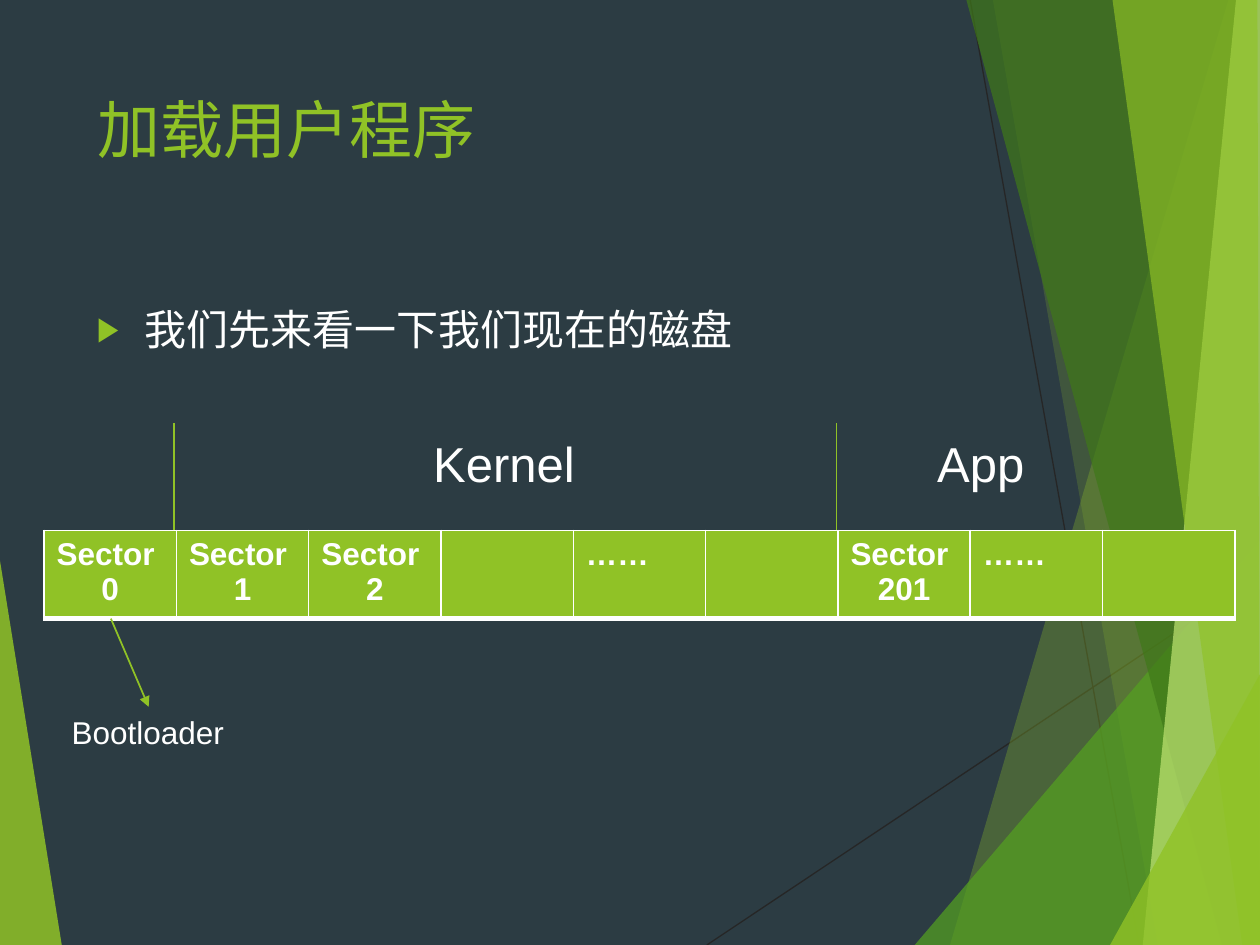
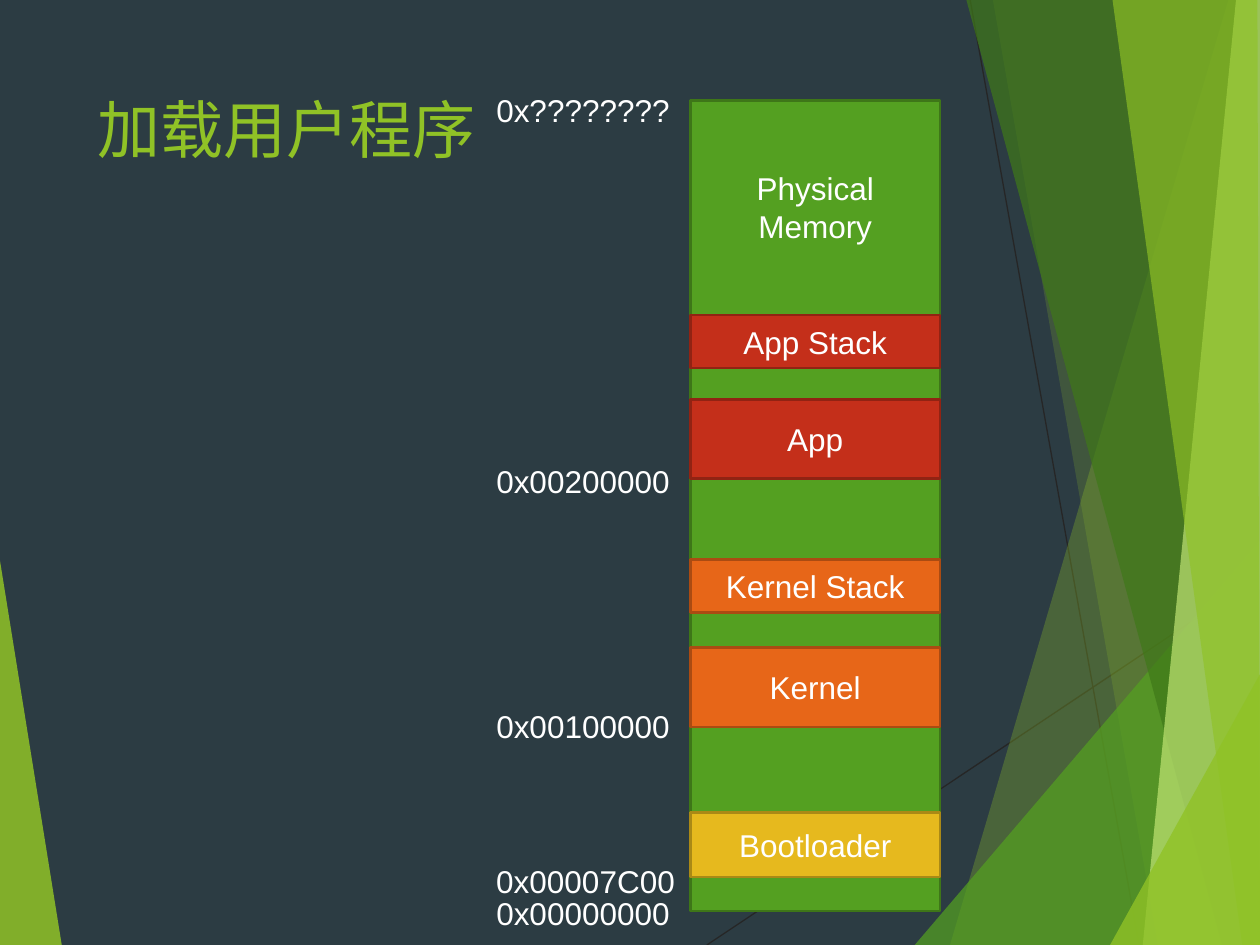
"""Build two slides on loading a user program: disk sectors and the memory map."""
from dataclasses import dataclass

from lxml import etree
from pptx import Presentation, util as u
from pptx.dml import color
from pptx.enum import shapes, text
from pptx.oxml import ns


@dataclass(frozen=True)
class Theme:
    font: str = "Arial"
    back: str = "2C3C43"
    ink: str = "FFFFFF"
    lime: str = "90C226"
    pale: str = "C0E474"
    green: str = "54A021"
    forest: str = "3F7819"
    green_edge: str = "3E7618"
    yellow: str = "E6B91E"
    yellow_edge: str = "AA8916"
    orange: str = "E76618"
    orange_edge: str = "AB4B12"
    red: str = "C42F1A"
    red_edge: str = "912313"
    hairline: str = "262626"
    title_size: int = 36
    heading_size: int = 28
    body_size: int = 24
    label_size: int = 18


THEME = Theme()
TITLE = "加载用户程序"
RAYS = [((5.61, 7.5), (10, 4.57)), ((7.7, 0), (9.04, 7.5))]
FACETS = [
    (THEME.lime, 85, [(0, 4.45), (0.49, 7.5), (0, 7.5)]),
    (THEME.lime, 30, [(9.75, 0), (7.54, 7.5), (10, 7.5), (10, 0)]),
    (THEME.lime, 20, [(7.88, 0), (9.19, 7.5), (10, 7.5), (10, 0)]),
    (THEME.green, 72, [(7.26, 7.5), (10, 4.29), (10, 7.5)]),
    (THEME.forest, 70, [(7.67, 0), (9.7, 7.5), (10, 7.5), (10, 0)]),
    (THEME.pale, 70, [(9.81, 0), (9.07, 7.5), (10, 7.5), (10, 0)]),
    (THEME.lime, 65, [(8.83, 0), (9.86, 7.5), (10, 7.5), (9.98, 0)]),
    (THEME.lime, 80, [(8.81, 7.5), (10, 5.35), (10, 7.5)]),
]


def rgb(code):
    return color.RGBColor.from_string(code)


def add_node(parent, tag, **attributes):
    return etree.SubElement(parent, ns.qn(tag), attributes)


class Painter:
    def __init__(self, deck, theme):
        self.deck = deck
        self.theme = theme
        self.page = None

    def new_page(self, title):
        self.page = self.deck.slides.add_slide(self.deck.slide_layouts[5])
        for start, end in RAYS:
            self.line(start, end, self.theme.hairline, 0.75)
        for fill, alpha, points in FACETS:
            self.facet(fill, alpha, points)
        box = self.page.shapes.title
        box.left, box.top, box.width, box.height = map(u.Inches, (0.67, 0.67, 6.94, 1.44))
        frame = box.text_frame
        frame.text = title
        frame.auto_size = text.MSO_AUTO_SIZE.NONE
        frame.vertical_anchor = text.MSO_ANCHOR.TOP
        self.style(frame, self.theme.title_size, self.theme.lime, text.PP_ALIGN.LEFT)

    def style(self, frame, size, ink=None, align=None, bold=False):
        for para in frame.paragraphs:
            if align is not None:
                para.alignment = align
            for span in para.runs:
                span.font.name = self.theme.font
                span.font.size = u.Pt(size)
                span.font.bold = bold
                span.font.color.rgb = rgb(ink or self.theme.ink)

    def facet(self, fill, alpha, points):
        corners = [(u.Inches(x), u.Inches(y)) for x, y in points]
        builder = self.page.shapes.build_freeform(*corners[0])
        builder.add_line_segments(corners[1:], close=True)
        shape = builder.convert_to_shape()
        shape.shadow.inherit = False
        shape.fill.solid()
        shape.fill.fore_color.rgb = rgb(fill)
        shape.line.fill.background()
        paint = shape.element.spPr.find(ns.qn("a:solidFill"))
        add_node(paint[0], "a:alpha", val=str(alpha * 1000))

    def line(self, start, end, ink, width=1, arrow=False):
        link = self.page.shapes.add_connector(
            shapes.MSO_CONNECTOR.STRAIGHT, *map(u.Inches, (*start, *end)))
        link.line.color.rgb = rgb(ink)
        link.line.width = u.Pt(width)
        if arrow:
            add_node(link.element.spPr.find(ns.qn("a:ln")), "a:tailEnd", type="triangle")
        add_node(link.element.spPr, "a:effectLst")
        return link

    def label(self, words, left, top, width, height=0.4, size=None):
        box = self.page.shapes.add_textbox(*map(u.Inches, (left, top, width, height)))
        frame = box.text_frame
        frame.text = words
        frame.word_wrap = False
        frame.auto_size = text.MSO_AUTO_SIZE.SHAPE_TO_FIT_TEXT
        self.style(frame, size or self.theme.label_size)
        return box

    def bullet(self, words, left, top, width, height):
        box = self.page.shapes.add_textbox(*map(u.Inches, (left, top, width, height)))
        frame = box.text_frame
        frame.word_wrap = True
        frame.text = words
        self.style(frame, self.theme.body_size)
        para = frame.paragraphs[0]
        para.space_before = u.Pt(10)
        props = para._p.get_or_add_pPr()
        props.set("marL", str(u.Inches(0.38)))
        props.set("indent", str(u.Inches(-0.38)))
        add_node(add_node(props, "a:buClr"), "a:srgbClr", val=self.theme.lime)
        add_node(props, "a:buSzPct", val="80000")
        add_node(props, "a:buFont", typeface=self.theme.font)
        add_node(props, "a:buChar", char="▶")

    def block(self, words, left, top, width, height, fill, edge):
        box = self.page.shapes.add_shape(
            shapes.MSO_SHAPE.RECTANGLE, *map(u.Inches, (left, top, width, height)))
        box.shadow.inherit = False
        box.fill.solid()
        box.fill.fore_color.rgb = rgb(fill)
        box.line.color.rgb = rgb(edge)
        box.line.width = u.Pt(1.5)
        frame = box.text_frame
        frame.text = words
        frame.word_wrap = True
        frame.vertical_anchor = text.MSO_ANCHOR.MIDDLE
        self.style(frame, self.theme.label_size, align=text.PP_ALIGN.CENTER)
        return box

    def strip(self, entries, left, top, column, height):
        table = self.page.shapes.add_table(
            1, len(entries), *map(u.Inches, (left, top, column * len(entries), height))).table
        table.first_row = table.horz_banding = False
        for index, entry in enumerate(entries):
            table.columns[index].width = u.Inches(column)
            cell = table.cell(0, index)
            cell.text = entry
            self.style(cell.text_frame, self.theme.label_size, bold=True)
            for para in cell.text_frame.paragraphs[1:]:
                para.alignment = text.PP_ALIGN.CENTER
            self.borders(cell)
            cell.fill.solid()
            cell.fill.fore_color.rgb = rgb(self.theme.lime)

    def borders(self, cell):
        props = cell._tc.get_or_add_tcPr()
        for side, width in (("L", 1), ("R", 1), ("T", 1), ("B", 3)):
            edge = add_node(props, f"a:ln{side}", w=str(u.Pt(width)))
            add_node(add_node(edge, "a:solidFill"), "a:srgbClr", val=self.theme.ink)


def draw_disk(painter):
    theme = painter.theme
    left, top, column = 0.35, 4.21, 1.05
    painter.new_page(TITLE)
    painter.bullet("我们先来看一下我们现在的磁盘", 0.67, 2.36, 7.82, 4.24)
    sectors = ["Sector\n0", "Sector\n1", "Sector\n2", "", "……", "", "Sector\n201", "……", ""]
    painter.strip(sectors, left, top, column, 0.66)
    bootloader = painter.label("Bootloader", 0.47, 5.61, 1.42)
    arrow = painter.line((0.88, 4.91), (1.18, 5.61), theme.lime, arrow=True)
    arrow.end_connect(bootloader, 0)
    for divider in (1.38, 6.64):
        painter.line((divider, top), (divider, 3.36), theme.lime)
    painter.label("Kernel", 3.34, 3.39, 1.34, 0.57, theme.heading_size)
    painter.label("App", 7.34, 3.39, 0.9, 0.57, theme.heading_size)


def draw_memory(painter):
    theme = painter.theme
    left, width = 5.48, 1.98
    painter.new_page(TITLE)
    memory = painter.block("Physical Memory", left, 0.8, width, 6.43,
                           theme.green, theme.green_edge)
    memory.text_frame.vertical_anchor = text.MSO_ANCHOR.TOP
    memory.text_frame.margin_top = u.Inches(0.54)
    regions = [
        ("Bootloader", 6.45, 0.51, theme.yellow, theme.yellow_edge),
        ("Kernel", 5.14, 0.63, theme.orange, theme.orange_edge),
        ("Kernel Stack", 4.44, 0.42, theme.orange, theme.orange_edge),
        ("App", 3.17, 0.63, theme.red, theme.red_edge),
        ("App Stack", 2.5, 0.42, theme.red, theme.red_edge),
    ]
    for name, top, height, fill, edge in regions:
        painter.block(name, left, top, width, height, fill, edge)
    addresses = [("0x00000000", 7.05, 1.59), ("0x00007C00", 6.79, 1.63),
                 ("0x00100000", 5.56, 1.59), ("0x00200000", 3.62, 1.59),
                 ("0x????????", 0.67, 1.59)]
    for address, top, span_width in addresses:
        painter.label(address, 3.84, top, span_width)


def main():
    deck = Presentation()
    deck.slide_width, deck.slide_height = u.Inches(10), u.Inches(7.5)
    backdrop = deck.slide_master.background.fill
    backdrop.solid()
    backdrop.fore_color.rgb = rgb(THEME.back)
    painter = Painter(deck, THEME)
    draw_disk(painter)
    draw_memory(painter)
    deck.save("out.pptx")


if __name__ == "__main__":
    main()
